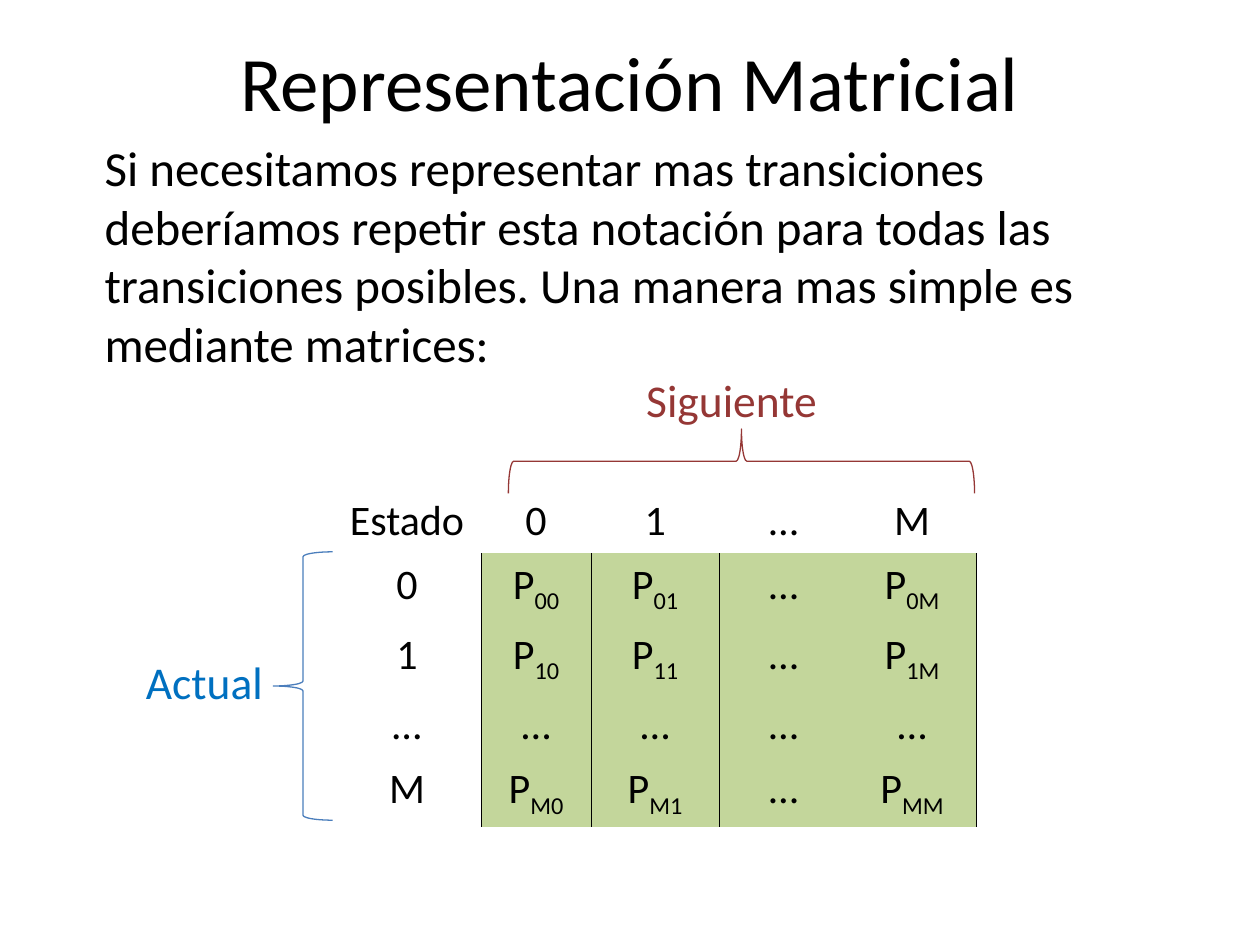
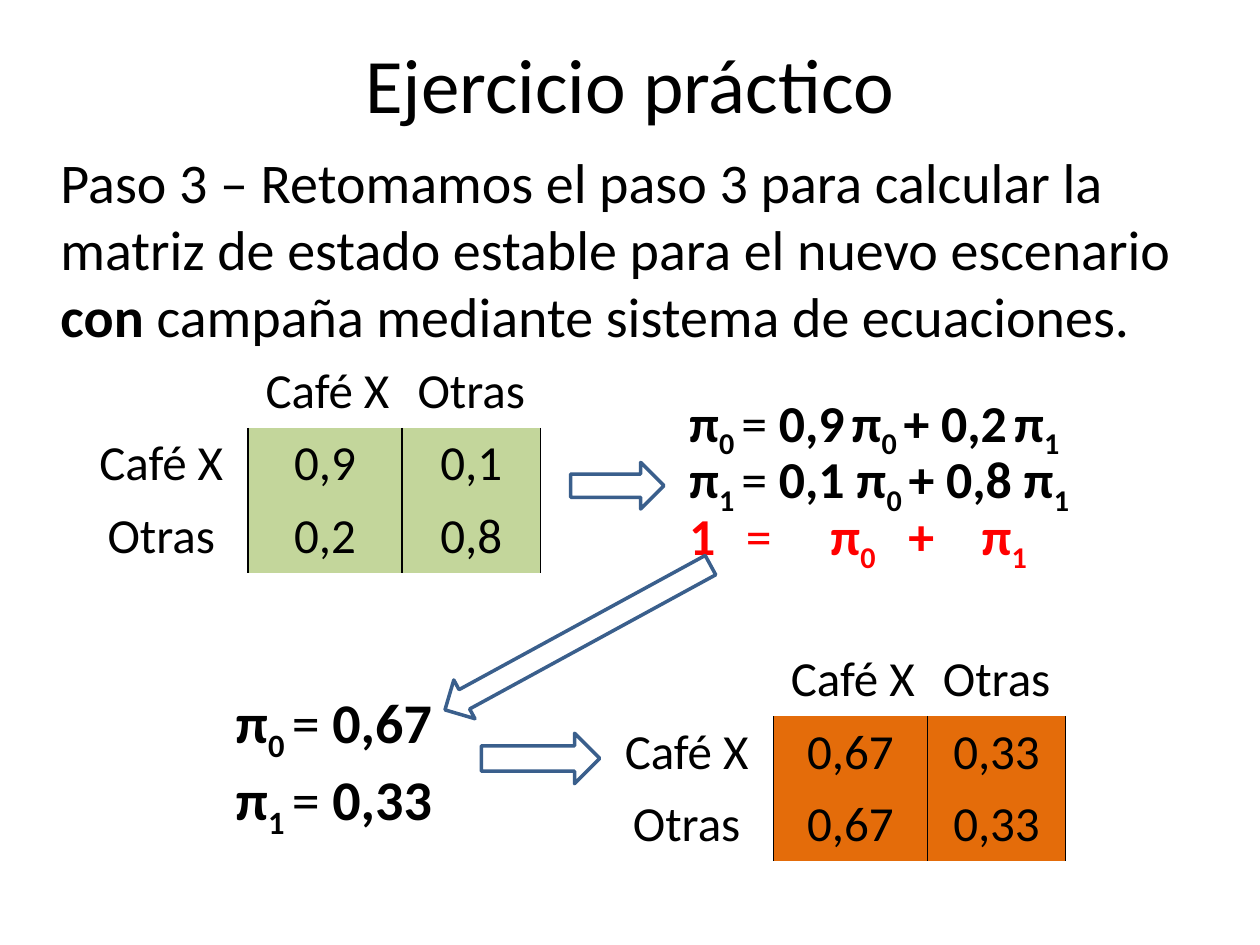
from dataclasses import dataclass, field
from typing import NamedTuple, Optional

from lxml import etree
from pptx import Presentation
from pptx.dml.color import RGBColor
from pptx.enum import shapes, text
from pptx.oxml import ns
from pptx.util import Emu, Inches, Pt

COLS, ROWS = 100, 75
SLIDE_W, SLIDE_H = Inches(10), Inches(7.5)
NO_STYLE = "{2D5ABB26-0587-4C30-8999-92F81FD0307C}"
LEFT, CENTER, RIGHT = text.PP_ALIGN.LEFT, text.PP_ALIGN.CENTER, text.PP_ALIGN.RIGHT
SHAPE = shapes.MSO_SHAPE


@dataclass(frozen=True)
class Theme:
    font: str = "Calibri"
    ink: str = "000000"
    green: str = "C3D69B"
    orange: str = "E46C0A"
    blue: str = "0070C0"
    maroon: str = "953735"
    brace: str = "4B7EBC"
    arrow: str = "3A5F8C"
    alert: str = "FF0000"
    title: float = 44
    body: float = 32
    body_small: float = 28
    table: float = 28
    table_small: float = 24
    label: float = 26
    equation: float = 29.6


THEME = Theme()


class Box(NamedTuple):
    col: float
    row: float
    cols: float
    rows: float

    def place(self) -> tuple[Emu, Emu, Emu, Emu]:
        return across(self.col), down(self.row), across(self.cols), down(self.rows)


class Line(NamedTuple):
    markup: str
    color: str = THEME.ink
    tabs: tuple[float, ...] = ()


@dataclass(frozen=True)
class TextBlock:
    box: Box
    lines: list[Line]
    size: float
    align: int = LEFT
    anchor: int = text.MSO_ANCHOR.TOP
    left_inset: float = 1
    top_inset: float = 0.5
    bold: bool = False
    spacing: Optional[float] = None


@dataclass(frozen=True)
class Outline:
    kind: int
    box: Box
    color: str
    width: float
    turn: float = 0


@dataclass(frozen=True)
class Matrix:
    col: float
    row: float
    widths: list[float]
    heights: list[float]
    rows: list[list[str]]
    fill: str
    size: float
    rules: dict[int, float]
    header_align: dict[int, int] = field(default_factory=dict)


def across(cols: float) -> Emu:
    return Emu(round(SLIDE_W * cols / COLS))


def down(rows: float) -> Emu:
    return Emu(round(SLIDE_H * rows / ROWS))


def write(p, line: Line, size: float, align: int, bold: bool = False) -> None:
    p.alignment = align
    if line.tabs:
        tabs = etree.SubElement(p._p.get_or_add_pPr(), ns.qn("a:tabLst"))
        for stop in line.tabs:
            etree.SubElement(tabs, ns.qn("a:tab"), pos=str(across(stop)), algn="l")
    font = p.font
    font.name, font.size, font.bold = THEME.font, Pt(size), bold
    font.color.rgb = RGBColor.from_string(line.color)
    for i, chunk in enumerate(line.markup.split("*")):
        for j, piece in enumerate(chunk.split("|")):
            if not piece:
                continue
            r = p.add_run()
            r.text = piece
            if i % 2:
                r.font.bold = not bold
            if j % 2:
                r._r.get_or_add_rPr().set("baseline", "-25000")


def add_text(s, block: TextBlock) -> None:
    tf = s.shapes.add_textbox(*block.box.place()).text_frame
    tf.word_wrap = True
    tf.vertical_anchor = block.anchor
    tf.margin_left = across(block.left_inset)
    tf.margin_top = tf.margin_bottom = down(block.top_inset)
    for i, line in enumerate(block.lines):
        p = tf.add_paragraph() if i else tf.paragraphs[0]
        write(p, line, block.size, block.align, block.bold)
        if block.spacing:
            p.line_spacing = block.spacing


def add_title(s, title: str, row: float, rows: float) -> None:
    add_text(s, TextBlock(Box(5, row, 90, rows), [Line(title)], THEME.title, CENTER,
                          text.MSO_ANCHOR.MIDDLE, top_inset=1))


def add_outline(s, outline: Outline) -> None:
    sp = s.shapes.add_shape(outline.kind, *outline.box.place())
    sp.shadow.inherit = False
    sp.fill.background()
    sp.line.color.rgb = RGBColor.from_string(outline.color)
    sp.line.width = Pt(outline.width)
    sp.rotation = outline.turn


def add_rule(cell, side: str, width: float) -> None:
    ln = etree.SubElement(cell._tc.get_or_add_tcPr(), ns.qn(f"a:ln{side}"), w=str(Pt(width)))
    fill = etree.SubElement(ln, ns.qn("a:solidFill"))
    etree.SubElement(fill, ns.qn("a:srgbClr"), val=THEME.ink)


def add_matrix(s, m: Matrix) -> None:
    box = Box(m.col, m.row, sum(m.widths), sum(m.heights))
    table = s.shapes.add_table(len(m.rows), len(m.widths), *box.place()).table
    table.first_row = table.horz_banding = False
    table._tbl.tblPr.find(ns.qn("a:tableStyleId")).text = NO_STYLE
    for column, width in zip(table.columns, m.widths):
        column.width = across(width)
    for y, values in enumerate(m.rows):
        table.rows[y].height = down(m.heights[y])
        for x, value in enumerate(values):
            cell = table.cell(y, x)
            if y:
                for side, edge in (("L", x - 1), ("R", x)):
                    if edge in m.rules:
                        add_rule(cell, side, m.rules[edge])
            if x and y:
                cell.fill.solid()
                cell.fill.fore_color.rgb = RGBColor.from_string(m.fill)
            else:
                cell.fill.background()
            align = CENTER if y else m.header_align.get(x, CENTER)
            write(cell.text_frame.paragraphs[0], Line(value), m.size, align)


def state_rows(states: list[str]) -> list[list[str]]:
    def entry(now: str, following: str) -> str:
        return "…" if "…" in (now, following) else f"P|{now}{following}"

    return [["Estado", *states]] + [[a, *(entry(a, b) for b in states)] for a in states]


def coffee_matrix(col: float, row: float, values: list[list[str]], fill: str) -> Matrix:
    names = ["Café X", "Otras"]
    rows = [["", *names]] + [[name, *line] for name, line in zip(names, values)]
    return Matrix(col, row, [13.8, 12.2, 11], [5.75] * 3, rows, fill, THEME.table,
                  {0: 1, 2: 0.5}, {1: RIGHT})


def matrix_slide(s) -> None:
    add_title(s, "Representación Matricial", 0.5, 11.8)
    add_text(s, TextBlock(Box(3.5, 9.9, 92.9, 24.4), [Line(
        "Si necesitamos representar mas transiciones deberíamos repetir esta notación para "
        "todas las transiciones posibles. Una manera mas simple es mediante matrices:")],
        THEME.body_small, left_inset=4.8, top_inset=1))
    add_matrix(s, Matrix(26.4, 38.8, [11.8, 8.7, 10.2, 10.2, 10.2], [5.1, 5.5, 5.5, 5.1, 5.5],
                         state_rows(["0", "1", "…", "M"]), THEME.green, THEME.table_small,
                         {0: 1, 1: 0.5, 4: 1}))
    add_outline(s, Outline(SHAPE.LEFT_BRACE, Box(21.7, 43.8, 4.7, 21.3), THEME.brace, 0.75))
    add_outline(s, Outline(SHAPE.RIGHT_BRACE, Box(56.3, 18.1, 5.1, 37), THEME.maroon, 0.75, 270))
    for box, label, color in ((Box(10.6, 51.4, 12.2, 5.4), "Actual", THEME.blue),
                              (Box(50.3, 29, 18.1, 5.4), "Siguiente", THEME.maroon)):
        add_text(s, TextBlock(box, [Line(label, color)], THEME.label))


def exercise_slide(s) -> None:
    add_title(s, "Ejercicio práctico", 0.3, 12.5)
    add_text(s, TextBlock(Box(2.8, 10.7, 94.5, 16.5), [Line(
        "Paso 3 – Retomamos el paso 3 para calcular la matriz de estado estable para el nuevo "
        "escenario *con *campaña mediante sistema de ecuaciones.")],
        THEME.body, left_inset=2, top_inset=1))
    add_matrix(s, coffee_matrix(5.9, 28.2, [["0,9", "0,1"], ["0,2", "0,8"]], THEME.green))
    add_text(s, TextBlock(Box(52.7, 31, 35.4, 13.4), [
        Line("π|0 |*= *0,9| |π|0 |+ 0,2| |π|1"),
        Line("π|1 |*= *0,1 π|0 |+ 0,8 π|1"),
        Line("1\t*=*\tπ|0|\t+\tπ|1", THEME.alert, (4.5, 11.2, 17.4, 23.2)),
    ], THEME.equation, left_inset=2, bold=True, spacing=0.8))
    add_text(s, TextBlock(Box(16.7, 54.1, 22, 12.2), [
        Line("π|0 |*= *0,67"), Line("π|1 |*= *0,33"),
    ], THEME.body, left_inset=2, bold=True))
    add_matrix(s, coffee_matrix(47.6, 51.1, [["0,67", "0,33"]] * 2, THEME.orange))
    for kind, box, turn in ((SHAPE.RIGHT_ARROW, Box(45.3, 36.7, 7.4, 3.7), 0),
                            (SHAPE.DOWN_ARROW, Box(44.1, 38.6, 3.5, 24), 61.4),
                            (SHAPE.RIGHT_ARROW, Box(38.2, 58.2, 9.4, 4), 0)):
        add_outline(s, Outline(kind, box, THEME.arrow, 2, turn))


def main() -> None:
    prs = Presentation()
    prs.slide_width, prs.slide_height = SLIDE_W, SLIDE_H
    for draw in (matrix_slide, exercise_slide):
        draw(prs.slides.add_slide(prs.slide_layouts[6]))
    prs.save("out.pptx")


if __name__ == "__main__":
    main()
